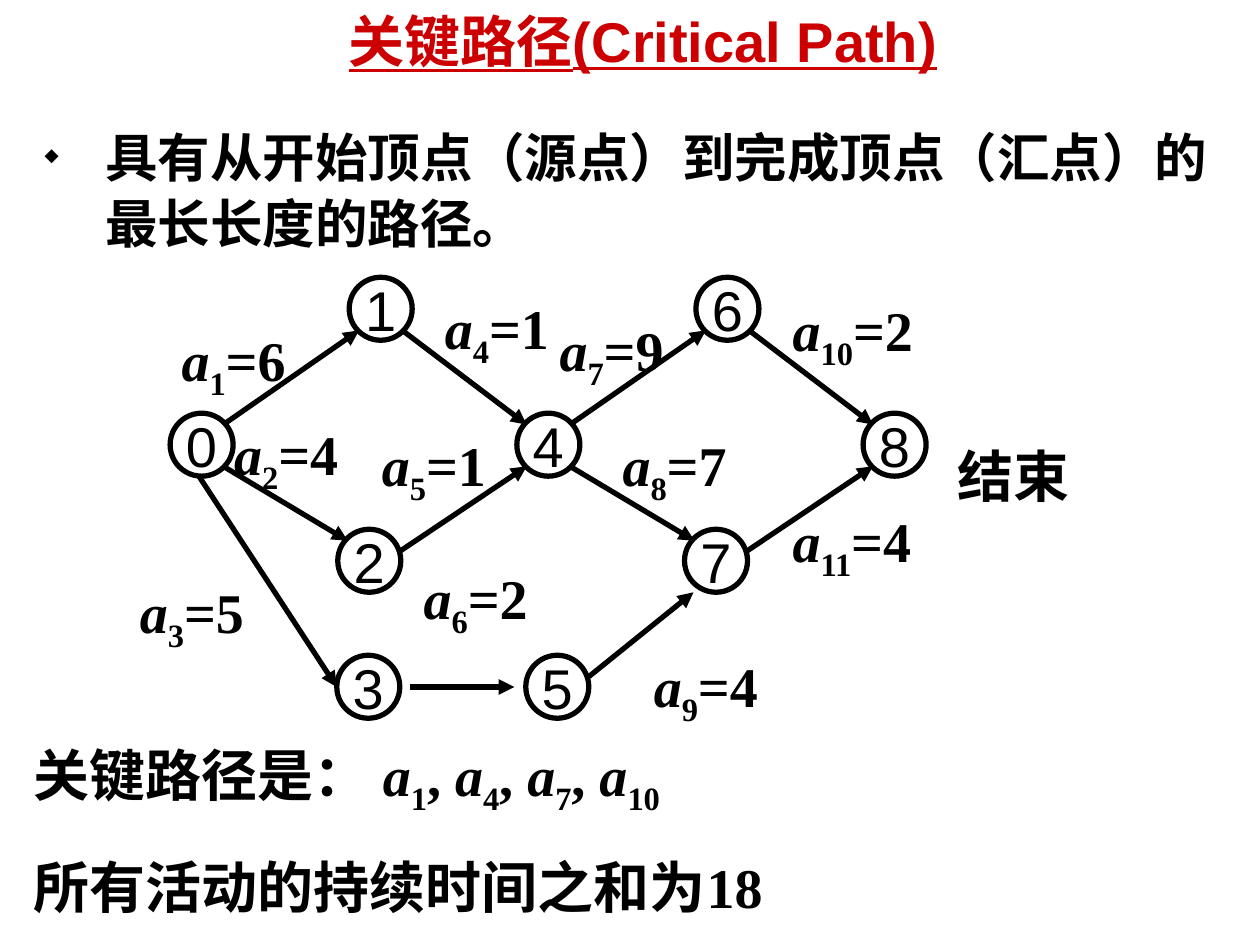
import pptx
import pptx.util
import pptx.dml.color
import pptx.enum.shapes
import pptx.enum.text
import pptx.oxml.ns
from lxml import etree
from dataclasses import dataclass

Cm, Pt = pptx.util.Cm, pptx.util.Pt


@dataclass(frozen=True)
class Theme:
    ink: str = "000000"
    red: str = "CC0000"
    sans: str = "Arial"
    serif: str = "Times New Roman"
    body: str = "DejaVu Sans"
    big: int = 32
    mid: int = 30
    line: int = 3


THEME = Theme()
SIZE = 1.27  # node diameter, cm

# Node corners in the graph box, cm
NODES = {
    "0": (0.86, 2.74), "1": (4.47, 0), "2": (4.24, 5.08),
    "3": (4.22, 7.62), "4": (7.85, 2.74), "5": (8.03, 7.62),
    "6": (11.46, 0), "7": (11.23, 5.08), "8": (14.83, 2.74),
}

# Arrow ends, measured from the corner of a node
NE, SE, EAST = (1.07, 0.23), (1.07, 1.07), (1.27, 0.43)
NW, SW = (0.2, 0.23), (0.2, 1.07)
EDGES = [
    ("0", NE, "1", SW), ("0", SE, "2", NW), ("0", (0.58, 1.27), "3", (0, 0.64)),
    ("1", SE, "4", NW), ("2", EAST, "4", SW), ("3", (1.47, 0.64), "5", (-0.23, 0.64)),
    ("4", NE, "6", SW), ("4", SE, "7", NW), ("5", EAST, "7", (0.18, 1.27)),
    ("6", SE, "8", NW), ("7", EAST, "8", SW),
]

# Activity number, duration, corner in the graph box
LABELS = [
    ("1", 6, 0.84, 0.84), ("2", 4, 1.9, 2.74), ("3", 5, 0, 5.92),
    ("4", 1, 6.15, 0.2), ("5", 1, 4.88, 2.97), ("6", 2, 5.72, 5.64),
    ("7", 9, 8.46, 0.64), ("8", 7, 9.73, 2.97), ("9", 4, 10.36, 7.42),
    ("10", 2, 13.16, 0.25), ("11", 4, 13.16, 4.5),
]


def color(code):
    return pptx.dml.color.RGBColor.from_string(code)


def style(run, face, size=THEME.big, tint=THEME.ink, bold=True):
    font = run.font
    font.name, font.size, font.bold = face, Pt(size), bold
    font.color.rgb = color(tint)


def add_run(par, text, face=THEME.serif, tint=THEME.ink):
    run = par.add_run()
    run.text = text
    style(run, face, tint=tint)
    return run


def add_act(par, num):
    """Write an activity name: italic a with a subscript number."""
    add_run(par, "a").font.italic = True
    add_run(par, num).font._element.set("baseline", "-25000")


def add_box(shapes, left, top, wide, high, wrap=True):
    box = shapes.add_textbox(Cm(left), Cm(top), Cm(wide), Cm(high))
    frame = box.text_frame
    frame.word_wrap = wrap
    if not wrap:
        frame.auto_size = pptx.enum.text.MSO_AUTO_SIZE.SHAPE_TO_FIT_TEXT
    return frame


def add_title(slide, left, top, wide, high):
    par = add_box(slide.shapes, left, top, wide, high).paragraphs[0]
    for text, face in (("关键路径", THEME.serif), ("(Critical Path)", THEME.sans)):
        add_run(par, text, face, THEME.red).font.underline = True


def add_body(slide, left, top, wide, high):
    par = add_box(slide.shapes, left, top, wide, high).paragraphs[0]
    par.text = "具有从开始顶点（源点）到完成顶点（汇点）的最长长度的路径。"
    # Diamond bullet with a hanging indent
    props = par._p.get_or_add_pPr()
    props.set("marL", str(Cm(2.51)))
    props.set("indent", str(Cm(-1.22)))
    tag = pptx.oxml.ns.qn
    tint = etree.SubElement(props, tag("a:buClr"))
    etree.SubElement(tint, tag("a:srgbClr"), val=THEME.ink)
    etree.SubElement(props, tag("a:buSzPct"), val="35000")
    etree.SubElement(props, tag("a:buChar"), char="◆")
    par.line_spacing = 1.05
    style(par.runs[0], THEME.body, THEME.mid)


def add_arrow(shapes, start, end):
    kind = pptx.enum.shapes.MSO_CONNECTOR.STRAIGHT
    ends = [Cm(num) for num in (*start, *end)]
    arrow = shapes.add_connector(kind, *ends)
    arrow.line.color.rgb = color(THEME.ink)
    arrow.line.width = Pt(THEME.line)
    tag = pptx.oxml.ns.qn
    etree.SubElement(arrow.line._get_or_add_ln(), tag("a:tailEnd"), type="triangle")
    etree.SubElement(arrow._element.spPr, tag("a:effectLst"))


def add_node(shapes, name, left, top):
    kind = pptx.enum.shapes.MSO_SHAPE.OVAL
    node = shapes.add_shape(kind, Cm(left), Cm(top), Cm(SIZE), Cm(SIZE))
    node.shadow.inherit = False
    node.fill.background()
    node.line.color.rgb = color(THEME.ink)
    node.line.width = Pt(THEME.line)
    frame = node.text_frame
    frame.text = name
    frame.word_wrap = False
    frame.vertical_anchor = pptx.enum.text.MSO_ANCHOR.MIDDLE
    par = frame.paragraphs[0]
    par.alignment = pptx.enum.text.PP_ALIGN.CENTER
    style(par.runs[0], THEME.sans, bold=False)


def add_graph(slide, left, top):
    shapes = slide.shapes.add_group_shape().shapes

    def spot(name, shift=(0, 0)):
        x, y = NODES[name]
        return left + x + shift[0], top + y + shift[1]

    # Arrows, then nodes above them
    for tail, out, head, into in EDGES:
        add_arrow(shapes, spot(tail, out), spot(head, into))
    for name in NODES:
        add_node(shapes, name, *spot(name))

    # Activity labels
    for num, time, x, y in LABELS:
        wide = 2.65 if len(num) == 1 else 3
        par = add_box(shapes, left + x, top + y, wide, 1.8, False).paragraphs[0]
        add_act(par, num)
        add_run(par, f"={time}")

    # Mark of the last node
    frame = add_box(shapes, left + 16.48, top + 3.18, 2.77, 1.63)
    add_run(frame.paragraphs[0], "结束")


def add_result(slide, left, top, wide, high):
    frame = add_box(slide.shapes, left, top, wide, high)
    par = frame.paragraphs[0]
    add_run(par, "关键路径是： ")
    for pos, num in enumerate(("1", "4", "7", "10")):
        if pos:
            add_run(par, ", ")
        add_act(par, num)
    total = frame.add_paragraph()
    total.space_before = Pt(20)
    add_run(total, "所有活动的持续时间之和为18")


def main():
    deck = pptx.Presentation()
    deck.slide_width, deck.slide_height = Cm(25.4), Cm(19.05)
    slide = deck.slides.add_slide(deck.slide_layouts[6])
    add_body(slide, -0.64, 2.34, 25.4, 15.88)
    add_title(slide, 6.78, 0, 13.97, 1.63)
    add_result(slide, 0.43, 14.81, 23.5, 3.86)
    add_graph(slide, 2.57, 5.59)
    deck.save("out.pptx")


if __name__ == "__main__":
    main()
